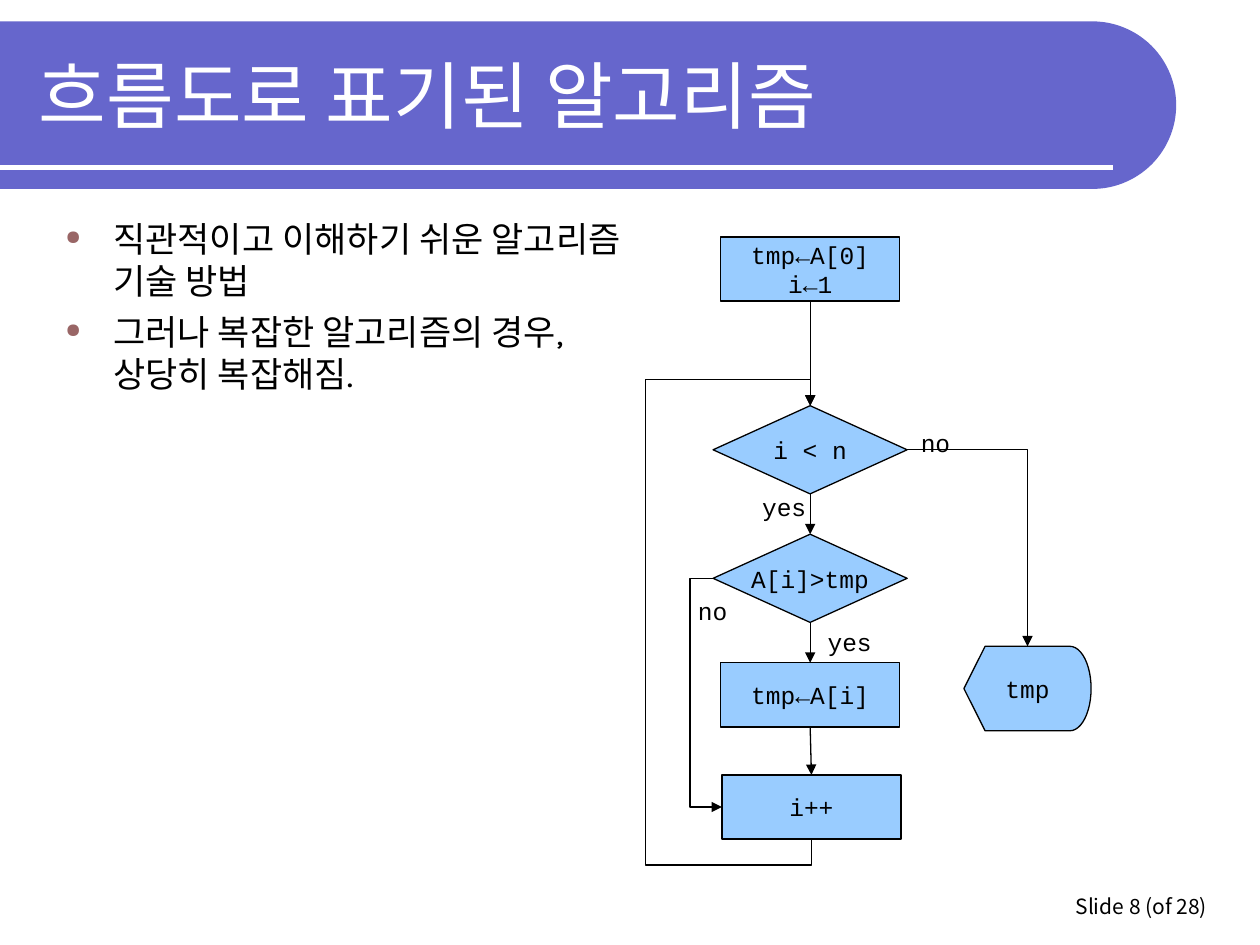
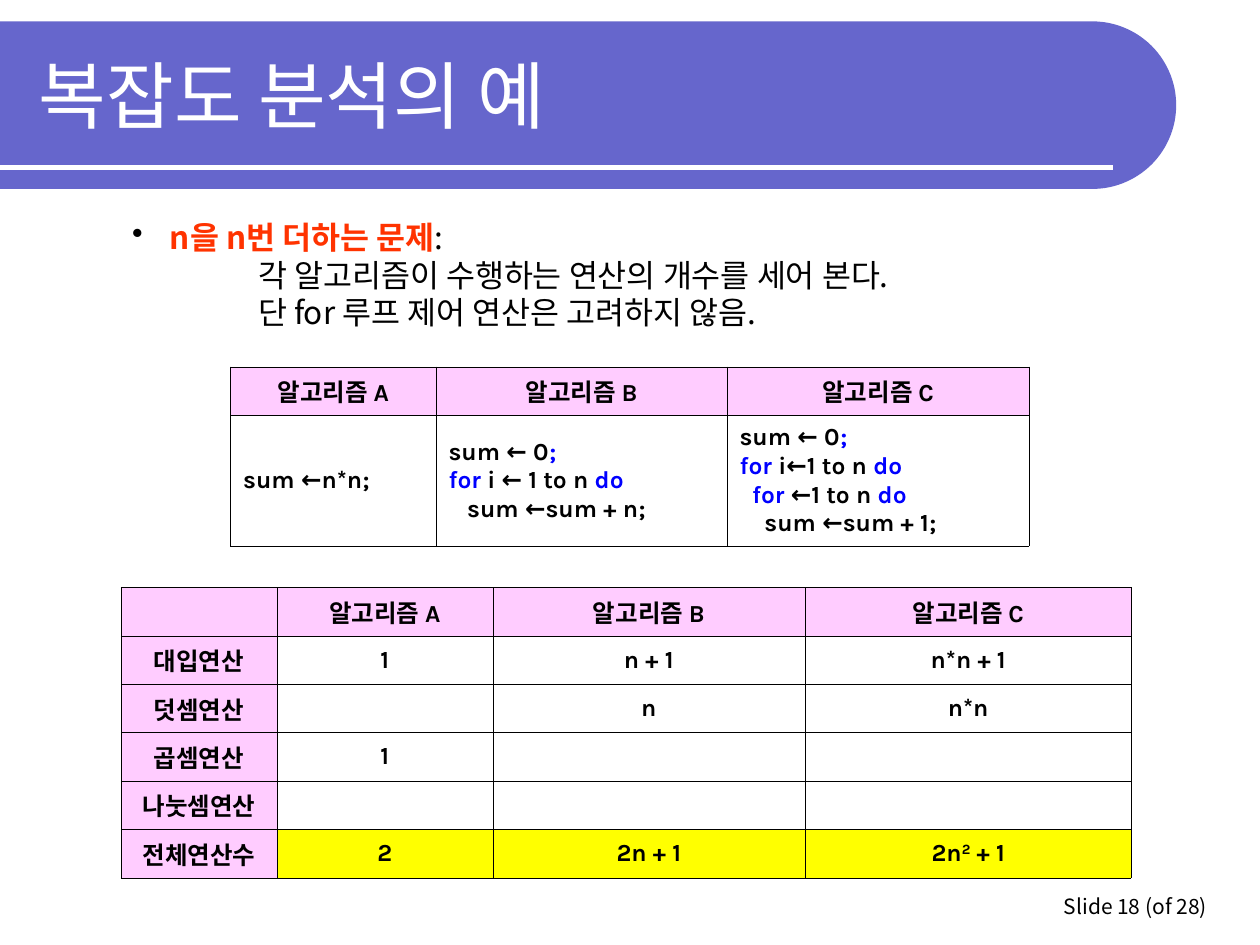
from dataclasses import dataclass
from math import cos, radians, sin

from lxml.etree import SubElement
from pptx import Presentation
from pptx.dml.color import RGBColor
from pptx.enum.shapes import MSO_CONNECTOR, MSO_SHAPE
from pptx.enum.text import MSO_ANCHOR, PP_ALIGN
from pptx.oxml.ns import qn
from pptx.util import Inches, Pt

COLUMNS, ROWS = 100, 75
SANS, LATIN, MONO = "Noto Sans CJK KR", "Karla", "Courier New"
BAND, WHITE, BLACK = "6666CC", "FFFFFF", "000000"
NODE, BULLET = "99CCFF", "996666"
HEADER, TOTAL = "FFCCFF", "FFFF00"
KEYWORD, EMPHASIS = "0000FF", "FF3300"
TOP, LEFT, BOTTOM, RIGHT = range(4)
SLIDE_COUNT = 28
TABLE_ROW = 3.85


@dataclass
class Piece:
    """A stretch of text that differs from the rest of its paragraph."""
    text: str
    color: str = BLACK
    bold: bool = True
    raised: bool = False


def rgb(color):
    return RGBColor.from_string(color)


def write(paragraph, content, size, font, color=BLACK, bold=False,
          align=PP_ALIGN.LEFT, east_asian=SANS):
    """Fill a paragraph from a string or from a list of strings and pieces."""
    paragraph.alignment = align
    pieces = [content] if isinstance(content, str) else content
    for piece in pieces:
        if isinstance(piece, str):
            piece = Piece(piece, color, bold)
        run = paragraph.add_run()
        run.text = piece.text
        run.font.size = Pt(size)
        run.font.bold = piece.bold
        run.font.color.rgb = rgb(piece.color)
        run.font.name = font
        properties = run._r.get_or_add_rPr()
        SubElement(properties, qn("a:ea"), typeface=east_asian)
        if piece.raised:
            properties.set("baseline", "30000")


def write_lines(text_frame, lines, *style, **options):
    for index, line in enumerate(lines):
        paragraph = text_frame.add_paragraph() if index else text_frame.paragraphs[0]
        write(paragraph, line, *style, **options)


def add_bullet(paragraph, character, color, indent, percent=100):
    properties = paragraph._p.get_or_add_pPr()
    properties.set("marL", str(Inches(indent)))
    properties.set("indent", str(-Inches(indent)))
    bullet_color = SubElement(properties, qn("a:buClr"))
    SubElement(bullet_color, qn("a:srgbClr"), val=color)
    SubElement(properties, qn("a:buSzPct"), val=str(percent * 1000))
    SubElement(properties, qn("a:buChar"), char=character)


def add_borders(cell):
    properties = cell._tc.get_or_add_tcPr()
    for position, side in enumerate(("a:lnL", "a:lnR", "a:lnT", "a:lnB")):
        border = properties.makeelement(qn(side), {"w": str(Pt(0.06))})
        fill = SubElement(border, qn("a:solidFill"))
        SubElement(fill, qn("a:srgbClr"), val=BLACK)
        properties.insert(position, border)


def bend(connector, preset, *adjustments):
    """Give an elbow connector its preset and the shares where it turns."""
    geometry = connector._element.spPr.find(qn("a:prstGeom"))
    geometry.set("prst", preset)
    guides = geometry.find(qn("a:avLst"))
    if guides is None:
        guides = SubElement(geometry, qn("a:avLst"))
    for number, share in enumerate(adjustments, 1):
        SubElement(guides, qn("a:gd"), name=f"adj{number}",
                   fmla=f"val {round(share * 100000)}")


def turn_upward(connector):
    """Rotate the connector's frame so that it leaves vertically."""
    left, top = connector.left, connector.top
    width, height = connector.width, connector.height
    connector.left = left + (width - height) // 2
    connector.top = top + (height - width) // 2
    connector.width, connector.height = height, width
    frame = connector._element.spPr.find(qn("a:xfrm"))
    frame.attrib.pop("flipH", None)
    frame.set("flipV", "1")
    frame.set("rot", str(270 * 60000))


class Deck:
    """Holds the presentation's style and the slide being built."""

    def __init__(self):
        self.presentation = Presentation()
        self.presentation.slide_width = Inches(10)
        self.presentation.slide_height = Inches(7.5)
        self.slide = None

    def x(self, columns):
        return round(self.presentation.slide_width * columns / COLUMNS)

    def y(self, rows):
        return round(self.presentation.slide_height * rows / ROWS)

    def place(self, left, top, width, height):
        return self.x(left), self.y(top), self.x(width), self.y(height)

    def new_slide(self, title, number):
        self.slide = self.presentation.slides.add_slide(
            self.presentation.slide_layouts[6])
        self.band()
        write_lines(self.text_box(2.1, 2.5, 87.7, 10, MSO_ANCHOR.MIDDLE),
                    [title], 42, SANS, WHITE)
        write_lines(self.text_box(65.1, 68.4, 31.7, 5, MSO_ANCHOR.BOTTOM),
                    [f"Slide {number} (of {SLIDE_COUNT})"], 12, SANS,
                    align=PP_ALIGN.RIGHT)

    def band(self):
        """Title band with a half-round right end and a white rule."""
        radius, center_x, center_y = 6.65, 86.7, 8.35
        arc = [(self.x(center_x + radius * cos(radians(angle))),
                self.y(center_y + radius * sin(radians(angle))))
               for angle in range(-90, 91, 3)]
        builder = self.slide.shapes.build_freeform(0, self.y(center_y - radius))
        builder.add_line_segments(arc + [(0, self.y(center_y + radius))], close=True)
        shape = builder.convert_to_shape()
        shape.shadow.inherit = False
        shape.fill.solid()
        shape.fill.fore_color.rgb = rgb(BAND)
        shape.line.fill.background()
        rule = self.connector(MSO_CONNECTOR.STRAIGHT, (0, 13.3), (88.3, 13.3))
        rule.line.color.rgb = rgb(WHITE)
        rule.line.width = Pt(3)

    def text_box(self, left, top, width, height, anchor=MSO_ANCHOR.TOP):
        box = self.slide.shapes.add_textbox(*self.place(left, top, width, height))
        box.text_frame.word_wrap = True
        box.text_frame.vertical_anchor = anchor
        return box.text_frame

    def label(self, text, left, top):
        write_lines(self.text_box(left, top, 6, 3.4), [text], 14, MONO)

    def node(self, preset, lines, left, top, width, height):
        shape = self.slide.shapes.add_shape(
            preset, *self.place(left, top, width, height))
        shape.shadow.inherit = False
        shape.fill.solid()
        shape.fill.fore_color.rgb = rgb(NODE)
        shape.line.color.rgb = rgb(BLACK)
        shape.line.width = Pt(0.75)
        shape.text_frame.word_wrap = False
        shape.text_frame.vertical_anchor = MSO_ANCHOR.MIDDLE
        write_lines(shape.text_frame, lines, 14, MONO, align=PP_ALIGN.CENTER)
        return shape

    def process(self, lines, top, left=57.2):
        return self.node(MSO_SHAPE.FLOWCHART_PROCESS, lines, left, top, 14.2, 5.1)

    def decision(self, text, top):
        return self.node(MSO_SHAPE.FLOWCHART_DECISION, [text], 56.6, top, 15.4, 7)

    def connector(self, kind, start=(0, 0), end=(0, 0)):
        connector = self.slide.shapes.add_connector(
            kind, self.x(start[0]), self.y(start[1]), self.x(end[0]), self.y(end[1]))
        SubElement(connector._element.spPr, qn("a:effectLst"))
        return connector

    def arrow(self, source, source_side, target, target_side,
              kind=MSO_CONNECTOR.STRAIGHT):
        connector = self.connector(kind)
        connector.begin_connect(source, source_side)
        connector.end_connect(target, target_side)
        connector.line.color.rgb = rgb(BLACK)
        connector.line.width = Pt(0.75)
        SubElement(connector.line._get_or_add_ln(), qn("a:tailEnd"), type="triangle")
        return connector

    def table(self, left, top, widths, heights, rows, fill_of, align_of):
        """Each cell is a list of lines; fill_of and align_of take (row, column)."""
        table = self.slide.shapes.add_table(
            len(heights), len(widths),
            *self.place(left, top, sum(widths), sum(heights))).table
        for column, width in zip(table.columns, widths):
            column.width = self.x(width)
        for row, height in zip(table.rows, heights):
            row.height = self.y(height)
        for row, values in enumerate(rows):
            for column, lines in enumerate(values):
                cell = table.cell(row, column)
                cell.vertical_anchor = MSO_ANCHOR.MIDDLE
                cell.margin_left = cell.margin_right = Inches(0.1)
                cell.margin_top = cell.margin_bottom = Inches(0.05 if lines else 0)
                write_lines(cell.text_frame, lines, 14, LATIN, bold=True,
                            align=align_of(row, column))
                cell.fill.solid()
                cell.fill.fore_color.rgb = rgb(fill_of(row, column))
                add_borders(cell)


def flowchart_slide(deck):
    deck.new_slide("흐름도로 표기된 알고리즘", 8)
    notes = deck.text_box(4.2, 16.8, 46.8, 52.3)
    write_lines(notes, ["직관적이고 이해하기 쉬운 알고리즘 기술 방법",
                        "그러나 복잡한 알고리즘의 경우, 상당히 복잡해짐."],
                20, LATIN)
    for index, paragraph in enumerate(notes.paragraphs):
        add_bullet(paragraph, "●", BULLET, 0.38, 57)
        paragraph.line_spacing = Pt(24)
        if index:
            paragraph.space_before = Pt(5)

    start = deck.process(["tmp←A[0]", "i←1"], 18.8)
    in_range = deck.decision("i < n", 32.2)
    is_larger = deck.decision("A[i]>tmp", 42.4)
    assign = deck.process(["tmp←A[i]"], 52.6)
    increment = deck.process(["i++"], 61.5, left=57.3)
    result = deck.node(MSO_SHAPE.FLOWCHART_DISPLAY, ["tmp"], 76.5, 51.3, 10.1, 6.7)

    steps = [start, in_range, is_larger, assign, increment]
    for upper, lower in zip(steps, steps[1:]):
        deck.arrow(upper, BOTTOM, lower, TOP)
    elbow = MSO_CONNECTOR.ELBOW
    bend(deck.arrow(in_range, RIGHT, result, TOP, elbow), "bentConnector2")
    bend(deck.arrow(is_larger, LEFT, increment, LEFT, elbow), "bentConnector3", -2.63)
    loop = deck.arrow(increment, BOTTOM, in_range, TOP, elbow)
    turn_upward(loop)
    bend(loop, "bentConnector5", -0.06, 134, 1.06)

    for text, left, top in [("no", 72.1, 33.5), ("yes", 59.5, 38.6),
                            ("no", 54.4, 46.8), ("yes", 64.7, 49.3)]:
        deck.label(text, left, top)


def complexity_slide(deck):
    deck.new_slide("복잡도 분석의 예", 18)
    problem = deck.text_box(9.5, 16.8, 67.6, 10)
    write_lines(problem, [[Piece("n을 n번 더하는 문제", EMPHASIS), ":"],
                          "각 알고리즘이 수행하는 연산의 개수를 세어 본다.",
                          "단 for 루프 제어 연산은 고려하지 않음."], 18, SANS)
    heading, *details = problem.paragraphs
    add_bullet(heading, "•", BLACK, 0.3)
    for paragraph in details:
        paragraph._p.get_or_add_pPr().set("marL", str(Inches(1)))
    for paragraph in problem.paragraphs:
        paragraph.line_spacing = Pt(21.6)

    algorithms = [[f"알고리즘 {letter}"] for letter in "ABC"]
    loop, do, end = (Piece(word, KEYWORD) for word in ("for", "do", ";"))
    reset = ["sum ← 0", end]
    code = [["sum ←n*n;"],
            [reset, [loop, " i ← 1 to n ", do], "   sum ←sum + n;"],
            [reset, [loop, " i←1 to n ", do], ["  ", loop, " ←1 to n ", do],
             "    sum ←sum + 1;"]]
    deck.table(18.3, 29.1, [16.3, 23.1, 24], [TABLE_ROW, 10.4], [algorithms, code],
               lambda row, column: WHITE if row else HEADER,
               lambda row, column: PP_ALIGN.JUSTIFY if row else PP_ALIGN.CENTER)

    counts = [[[], *algorithms],
              [["대입연산"], ["1"], ["n + 1"], ["n*n + 1"]],
              [["덧셈연산"], [], ["n"], ["n*n"]],
              [["곱셈연산"], ["1"], [], []],
              [["나눗셈연산"], [], [], []],
              [["전체연산수"], ["2"], ["2n + 1"],
               [["2n", Piece("2", raised=True), " + 1"]]]]
    last = len(counts) - 1

    def count_fill(row, column):
        if row == 0 or column == 0:
            return HEADER
        return TOTAL if row == last else WHITE

    deck.table(9.6, 46.6, [12.4, 17.1, 24.8, 25.9], [TABLE_ROW] * len(counts), counts,
               count_fill, lambda row, column: PP_ALIGN.CENTER)


def main():
    deck = Deck()
    flowchart_slide(deck)
    complexity_slide(deck)
    deck.presentation.save("out.pptx")


if __name__ == "__main__":
    main()
